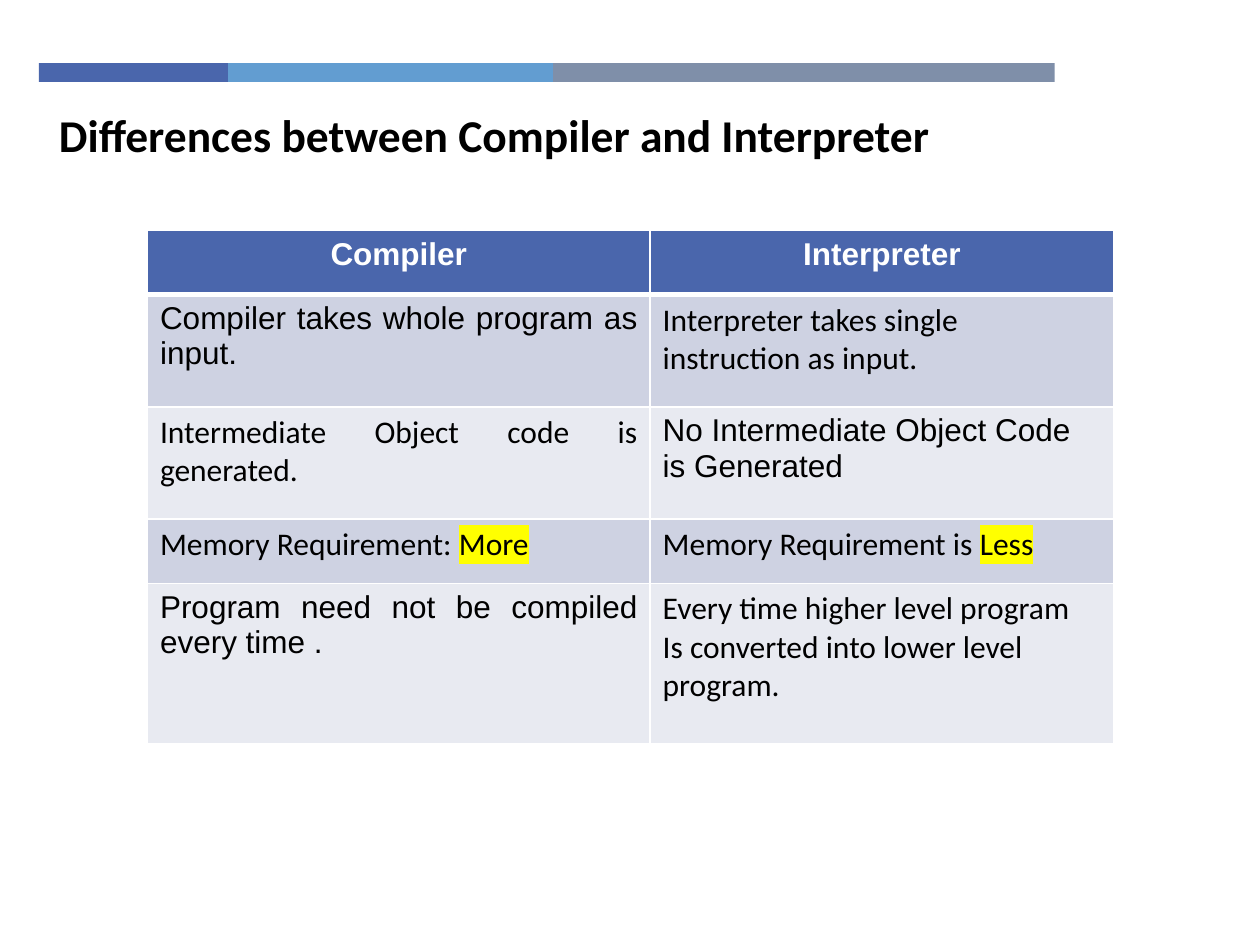
from lxml import etree
from pptx import Presentation
from pptx.dml.color import RGBColor
from pptx.enum.shapes import MSO_SHAPE
from pptx.enum.text import PP_ALIGN
from pptx.oxml.ns import qn
from pptx.util import Inches, Pt

RECT = MSO_SHAPE.RECTANGLE
LEFT, CENTER, JUSTIFY = PP_ALIGN.LEFT, PP_ALIGN.CENTER, PP_ALIGN.JUSTIFY
COLORS = {
    "blue": "4A66AC", "sky": "629DD1", "slate": "7F8FA9",
    "odd": "CED2E2", "even": "E8EAF1",
    "black": "000000", "white": "FFFFFF", "yellow": "FFFF00",
}
ARIAL, CALIBRI = "Arial", "Calibri"

HEADER = ["Compiler", "Interpreter"]
# Each cell: paragraphs, font, alignment; a tuple in a paragraph is highlighted.
BODY = [
    [([["Compiler takes whole program as input. "]], ARIAL, JUSTIFY),
     ([["Interpreter takes single instruction as input."]], CALIBRI, LEFT)],
    [([["Intermediate Object code is generated."]], CALIBRI, JUSTIFY),
     ([["No Intermediate Object Code is Generated"]], ARIAL, LEFT)],
    [([["Memory Requirement: ", ("More",), " "]], CALIBRI, LEFT),
     ([["Memory Requirement is ", ("Less",)]], CALIBRI, LEFT)],
    [([["Program need not be compiled every time . "]], ARIAL, JUSTIFY),
     ([["Every time higher level program"],
       ["Is converted into lower level program."]], CALIBRI, LEFT)],
]


def rgb(name):
    return RGBColor.from_string(COLORS[name])


def add_solid_color(parent, tag, name):
    el = etree.SubElement(parent, qn(tag))
    etree.SubElement(el, qn("a:srgbClr"), val=COLORS[name])
    return el


def write_text(tf, paragraphs, font=CALIBRI, size=18, color="black",
               bold=False, align=LEFT):
    for i, parts in enumerate(paragraphs):
        p = tf.paragraphs[0] if i == 0 else tf.add_paragraph()
        p.alignment = align
        for part in parts:
            marked = isinstance(part, tuple)
            r = p.add_run()
            r.text = part[0] if marked else part
            r.font.size, r.font.bold, r.font.name = Pt(size), bold, font
            r.font.color.rgb = rgb(color)
            if marked:
                rpr = r.font._element
                mark = add_solid_color(rpr, "a:highlight", "yellow")
                rpr.find(qn("a:solidFill")).addnext(mark)


def style_cell(cell, fill, top=1, bottom=1):
    """Draw white borders, in points, and fill the cell."""
    tcpr = cell._tc.get_or_add_tcPr()
    for side, width in (("L", 1), ("R", 1), ("T", top), ("B", bottom)):
        ln = etree.SubElement(tcpr, qn(f"a:ln{side}"), w=str(Pt(width)))
        add_solid_color(ln, "a:solidFill", "white")
    cell.fill.solid()
    cell.fill.fore_color.rgb = rgb(fill)


def add_color_bar(s, left, top, height):
    for color, width in (("blue", 1.5), ("sky", 2.58), ("slate", 3.98)):
        sp = s.shapes.add_shape(RECT, Inches(left), Inches(top),
                                Inches(width), Inches(height))
        sp.shadow.inherit = False
        sp.fill.solid()
        sp.fill.fore_color.rgb = rgb(color)
        sp.line.fill.background()
        left += width


def add_title(s, left, top, width, height):
    tf = s.shapes.add_textbox(Inches(left), Inches(top),
                              Inches(width), Inches(height)).text_frame
    tf.word_wrap = False
    write_text(tf, [["Differences between Compiler and Interpreter"]],
               size=26, bold=True)


def add_comparison(s, left, top, widths, heights):
    table = s.shapes.add_table(
        len(heights), len(widths), Inches(left), Inches(top),
        Inches(sum(widths)), Inches(sum(heights))).table
    for col, width in zip(table.columns, widths):
        col.width = Inches(width)
    for row, height in zip(table.rows, heights):
        row.height = Inches(height)
    for c, text in enumerate(HEADER):
        cell = table.cell(0, c)
        style_cell(cell, "blue", bottom=3)
        write_text(cell.text_frame, [[text]], font=ARIAL, color="white",
                   bold=True, align=CENTER)
    for r, row in enumerate(BODY, start=1):
        for c, (paragraphs, font, align) in enumerate(row):
            cell = table.cell(r, c)
            style_cell(cell, "odd" if r % 2 else "even", top=3 if r == 1 else 1)
            write_text(cell.text_frame, paragraphs, font=font, align=align)


def main():
    prs = Presentation()
    prs.slide_width, prs.slide_height = Inches(10), Inches(7.5)
    s = prs.slides.add_slide(prs.slide_layouts[6])
    add_color_bar(s, 0.31, 0.5, 0.15)
    add_title(s, 0.37, 0.8, 7.16, 0.54)
    add_comparison(s, 1.17, 1.83, [3.99, 3.68], [0.51, 0.89, 0.89, 0.51, 1.27])
    prs.save("out.pptx")


if __name__ == "__main__":
    main()
